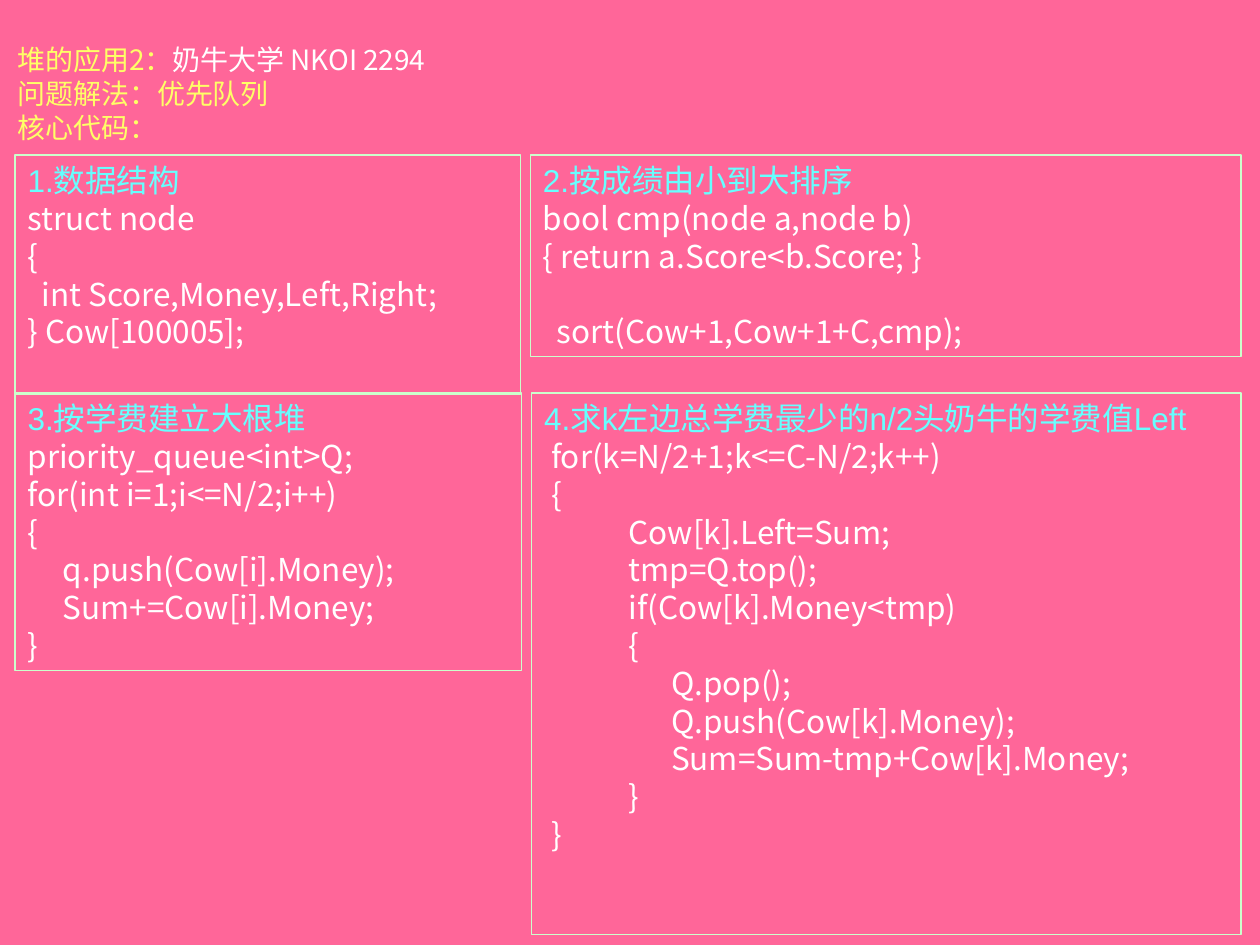
import pptx
import pptx.util
import pptx.dml.color
import pptx.enum.shapes
import pptx.enum.text
import pptx.oxml.ns
import lxml.etree

Inches = pptx.util.Inches
RGBColor = pptx.dml.color.RGBColor

PINK = RGBColor(0xFF, 0x66, 0x99)
YELLOW = RGBColor(0xFF, 0xFF, 0x66)
WHITE = RGBColor(0xFF, 0xFF, 0xFF)
CYAN = RGBColor(0x66, 0xFF, 0xFF)
PALE_GREEN = RGBColor(0xCC, 0xFF, 0xCC)
CJK_FONT = "Noto Sans CJK SC"
HEADING_FONT = "Arial"
LINE_FACTOR = 1.2
CODE_SIZE = 18
TITLE_SIZE = 16

PANELS = [
    ((0.12, 1.23, 4.01, 1.9), "1.数据结构", """struct node
{
  int Score,Money,Left,Right;
} Cow[100005];"""),
    ((4.21, 1.23, 5.64, 1.6), "2.按成绩由小到大排序", """bool cmp(node a,node b)
{ return a.Score<b.Score; }
  sort(Cow+1,Cow+1+C,cmp);"""),
    ((0.12, 3.12, 4.02, 2.2), "3.按学费建立大根堆", """priority_queue<int>Q;
for(int i=1;i<=N/2;i++)
{
     q.push(Cow[i].Money);
     Sum+=Cow[i].Money;
}"""),
    ((4.22, 3.12, 5.63, 4.3), "4.求k左边总学费最少的n/2头奶牛的学费值Left",
     """ for(k=N/2+1;k<=C-N/2;k++)
 {
            Cow[k].Left=Sum;
            tmp=Q.top();
            if(Cow[k].Money<tmp)
            {
                  Q.pop();
                  Q.push(Cow[k].Money);
                  Sum=Sum-tmp+Cow[k].Money;
            }
 }"""),
]


def format_run(run, size, color, font_name=CJK_FONT):
    run.font.size = pptx.util.Pt(size)
    run.font.name = font_name
    run.font.color.rgb = color
    east_asian = lxml.etree.Element(pptx.oxml.ns.qn("a:ea"), typeface=CJK_FONT)
    run.font._element.find(pptx.oxml.ns.qn("a:latin")).addnext(east_asian)


def format_paragraph(paragraph, size):
    paragraph.alignment = pptx.enum.text.PP_ALIGN.LEFT
    paragraph.line_spacing = pptx.util.Pt(size * LINE_FACTOR)


def format_frame(frame):
    frame.word_wrap = True
    frame.auto_size = pptx.enum.text.MSO_AUTO_SIZE.NONE
    frame.vertical_anchor = pptx.enum.text.MSO_ANCHOR.TOP
    frame.margin_left = frame.margin_right = Inches(0.1)
    frame.margin_top = frame.margin_bottom = Inches(0.05)


def place_title(slide, box):
    title = slide.shapes.title
    title.left, title.top, title.width, title.height = map(Inches, box)
    frame = title.text_frame
    frame.text = "堆的应用2：\n问题解法：优先队列\n核心代码："
    format_frame(frame)
    for paragraph in frame.paragraphs:
        format_paragraph(paragraph, TITLE_SIZE)
        format_run(paragraph.runs[0], TITLE_SIZE, YELLOW)
    problem = frame.paragraphs[0].add_run()
    problem.text = "奶牛大学 NKOI 2294"
    format_run(problem, TITLE_SIZE, WHITE)


def place_panel(slide, box, heading, code):
    panel = slide.shapes.add_shape(
        pptx.enum.shapes.MSO_SHAPE.RECTANGLE, *map(Inches, box))
    panel.shadow.inherit = False
    panel.fill.background()
    panel.line.color.rgb = PALE_GREEN
    panel.line.width = pptx.util.Pt(0.75)
    frame = panel.text_frame
    frame.text = heading + "\n" + code
    format_frame(frame)
    for index, paragraph in enumerate(frame.paragraphs):
        format_paragraph(paragraph, CODE_SIZE)
        if index == 0:
            format_run(paragraph.runs[0], CODE_SIZE, CYAN, HEADING_FONT)
        else:
            format_run(paragraph.runs[0], CODE_SIZE, WHITE)
        if paragraph.text.strip().startswith("sort("):
            paragraph.space_before = pptx.util.Pt(CODE_SIZE * LINE_FACTOR)


def main():
    deck = pptx.Presentation()
    deck.slide_width, deck.slide_height = Inches(10), Inches(7.5)
    slide = deck.slides.add_slide(deck.slide_layouts.get_by_name("Title Only"))
    slide.background.fill.solid()
    slide.background.fill.fore_color.rgb = PINK
    place_title(slide, (0.04, 0.29, 9.07, 1.16))
    for box, heading, code in PANELS:
        place_panel(slide, box, heading, code)
    deck.save("out.pptx")


if __name__ == "__main__":
    main()
